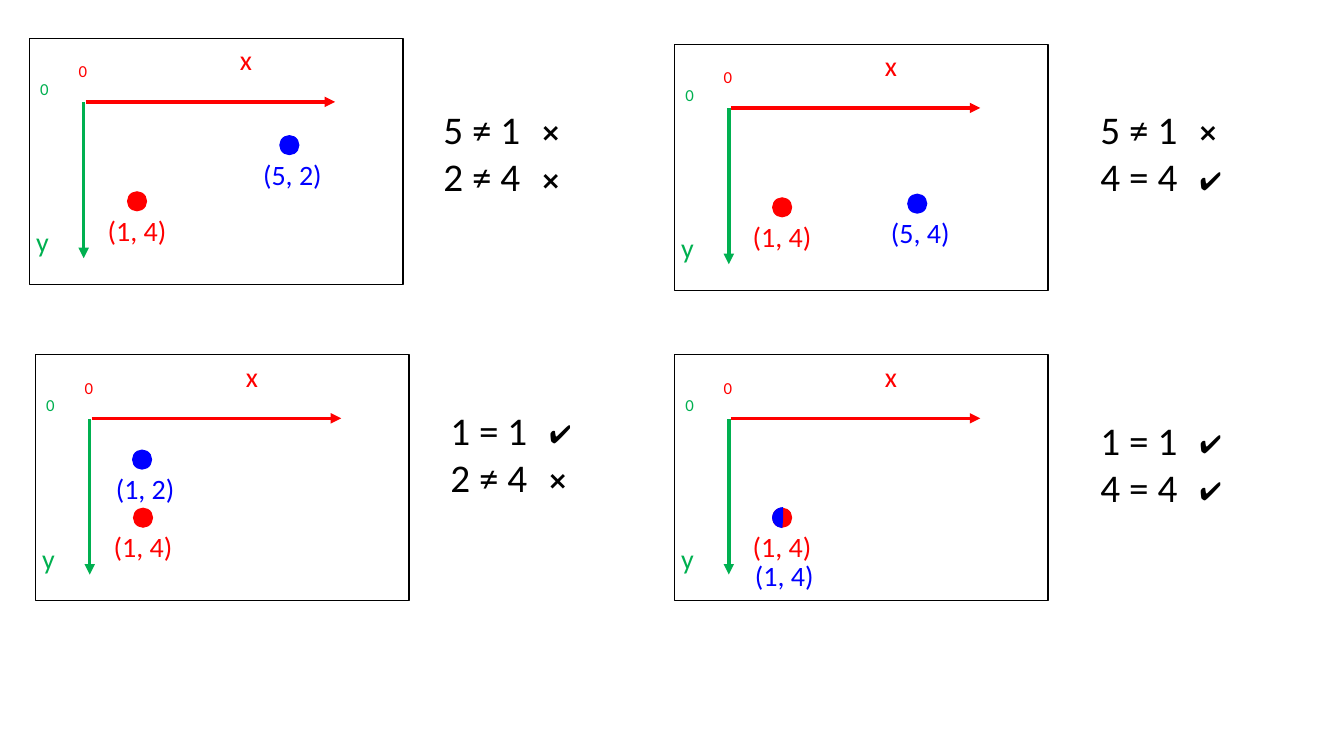
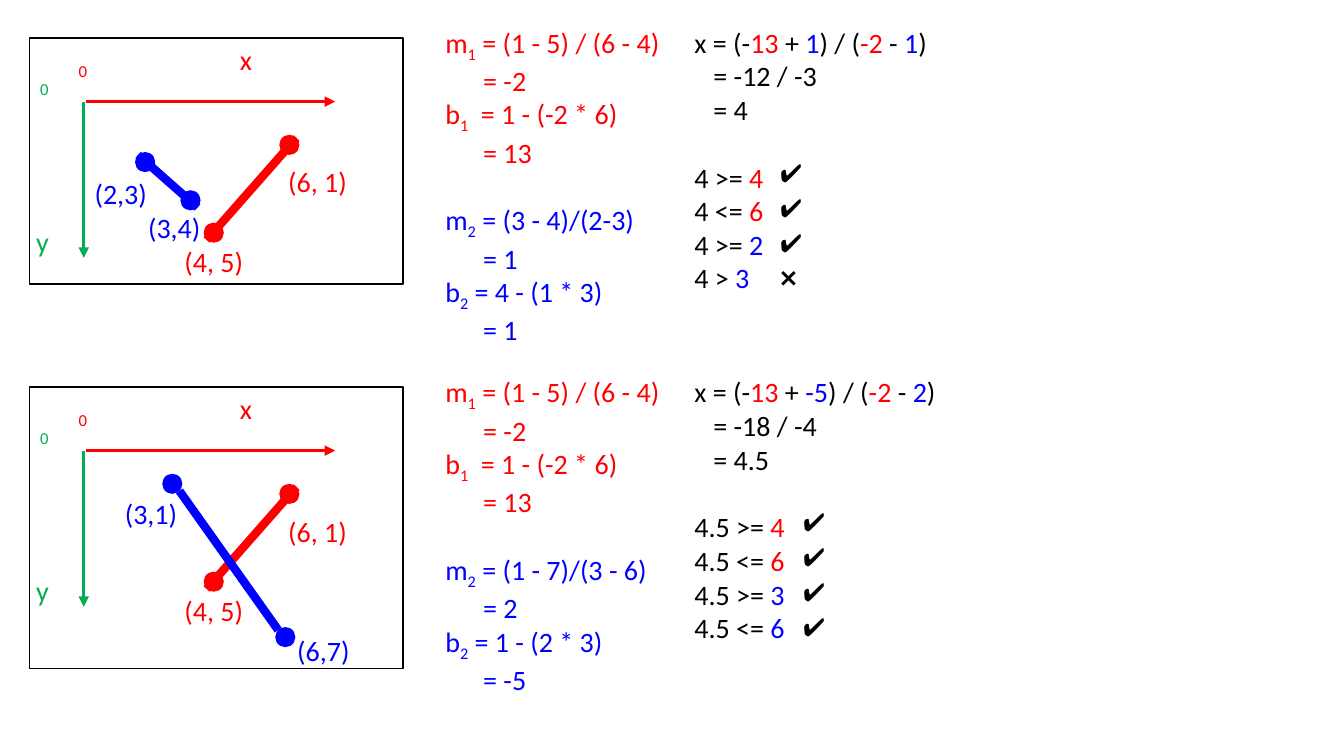
from lxml import etree
from pptx import Presentation
from pptx.dml.color import RGBColor
from pptx.enum.shapes import MSO_CONNECTOR, MSO_SHAPE
from pptx.enum.text import MSO_AUTO_SIZE
from pptx.oxml.ns import qn
from pptx.util import Pt

RED = RGBColor(0xFF, 0, 0)
GREEN = RGBColor(0, 0xB0, 0x50)
BLUE = RGBColor(0, 0, 0xFF)
BLACK = RGBColor(0, 0, 0)
STRAIGHT = MSO_CONNECTOR.STRAIGHT
OVAL, RECT, PIE = MSO_SHAPE.OVAL, MSO_SHAPE.RECTANGLE, MSO_SHAPE.PIE
FIT = MSO_AUTO_SIZE.SHAPE_TO_FIT_TEXT

FONT = "Calibri"
FRAME_W, FRAME_H = 267, 175.7
DOT = 14.4
YES, NO = "✔️", "❌"

# Slide 1: comparing two points; positions inside a panel count from its frame
RED_POINT = ("(1, 4)", RED, (69.8, 109.2), (48.9, 121.4))
POINT_PANELS = [
    {"frame": (20.9, 27.4), "sums": (309.6, 72),
     "blue": ("(5, 2)", BLUE, (178.6, 69.1), (159.9, 81.4)),
     "tests": [("5 ≠ 1", NO), ("2 ≠ 4", NO)]},
    {"frame": (481.7, 31.7), "sums": (779, 72),
     "blue": ("(5, 4)", BLUE, (166.3, 106.6), (147.6, 118.8)),
     "tests": [("5 ≠ 1", NO), ("4 = 4", YES)]},
    {"frame": (25.2, 253.4), "sums": (314.6, 286.6),
     "blue": ("(1, 2)", BLUE, (69.1, 67.7), (50.4, 79.9)),
     "tests": [("1 = 1", YES), ("2 ≠ 4", NO)]},
    {"frame": (481.7, 253.4), "sums": (779, 293.8),
     "blue": ("(1, 4)", BLUE, None, (50.4, 141.8)),
     "tests": [("1 = 1", YES), ("4 = 4", YES)]},
]

# Slide 2: crossing two segments
RED_ENDS = [("(4, 5)", RED, (124.6, 131.8), (103.7, 144)),
            ("(6, 1)", RED, (178.6, 69.1), (177.8, 87.1))]
RED_SEGMENT = ((126.7, 144.2), (190.8, 71.4))
RED_FORMULAS = [("m", "1", " = (1 - 5) / (6 - 4)", "= -2"),
                ("b", "1", "  = 1 - (-2 * 6)", "= 13")]
SEGMENT_PANELS = [
    {"frame": (20.9, 27.2), "height": FRAME_H, "top": 14.4, "marks": 550.1,
     "ends": [("(2,3)", BLUE, (75.6, 81.4), (39.6, 95)),
              ("(3,4)", BLUE, (108, 108.7), (77.8, 119.5))],
     "segment": ((120.2, 121), (77.8, 83.5)),
     "formulas": [("m", "2", " = (3 - 4)/(2-3)", "= 1"),
                  ("b", "2", " = 4 - (1 * 3)", "= 1")],
     "blue_b": "1", "blue_m": "1", "steps": ["= -12 / -3", "= 4"], "width": 182,
     "tests": [("4 >= ", "4", RED, YES), ("4 <= ", "6", RED, YES),
               ("4 >= ", "2", BLUE, YES), ("4 > ", "3", BLUE, NO)]},
    {"frame": (20.9, 276.5), "height": 200.9, "top": 264.2, "marks": 566.6,
     "ends": [("(3,1)", BLUE, (95, 61.9), (61.2, 74.9)),
              ("(6,7)", BLUE, (175.7, 171.4), (184.3, 172.1))],
     "segment": ((177.8, 173.5), (107.3, 74.2)),
     "formulas": [("m", "2", " = (1 - 7)/(3 - 6)", "= 2"),
                  ("b", "2", " = 1 - (2 * 3)", "= -5")],
     "blue_b": "-5", "blue_m": "2", "steps": ["= -18 / -4", "= 4.5"], "width": 188,
     "tests": [("4.5 >= ", "4", RED, YES), ("4.5 <= ", "6", RED, YES),
               ("4.5 >= ", "3", BLUE, YES), ("4.5 <= ", "6", BLUE, YES)]},
]

# Axes, shared by every panel
AXES = [((40.3, 45.4), (218.5, 45.4), RED), ((38.9, 45.8), (38.9, 157), GREEN)]
AXIS_LABELS = [("x", 20, RED, (143.3, -0.5), (23, 31.5)),
               ("y", 20, GREEN, (-2.2, 129.6), (24, 55.4)),
               ("0", 12, RED, (28.1, 12.6), (21, 21.8)),
               ("0", 12, GREEN, (0.7, 25.2), (21, 21.8))]


def shift(origin, offset):
    return origin[0] + offset[0], origin[1] + offset[1]


def add_text(shapes, at, size, paras, sz, wrap=False):
    """Each paragraph is (runs, format); a run is (text, colour[, is_sub])."""
    sp = shapes.add_textbox(*map(Pt, at + size))
    tf = sp.text_frame
    tf.word_wrap, tf.auto_size = wrap, FIT
    for i, (runs, fmt) in enumerate(paras):
        p = tf.paragraphs[0] if i == 0 else tf.add_paragraph()
        if "indent" in fmt:
            p._p.get_or_add_pPr().set("marL", str(Pt(fmt["indent"])))
        if "before" in fmt:
            p.space_before = Pt(fmt["before"])
        for text, color, *sub in runs:
            r = p.add_run()
            r.text = text
            for name, value in {"name": FONT, "size": Pt(sz)}.items():
                setattr(r.font, name, value)
            r.font.color.rgb = color
            if sub:
                r._r.get_or_add_rPr().set("baseline", "-25000")


def add_label(shapes, text, color, at, size, sz, wrap=False):
    add_text(shapes, at, size, [([(text, color)], {})], sz, wrap)


def add_line(shapes, start, end, color, width, arrow=False):
    c = shapes.add_connector(STRAIGHT, *map(Pt, start + end))
    c.line.color.rgb, c.line.width = color, Pt(width)
    if arrow:
        tail = etree.SubElement(c.line._get_or_add_ln(), qn("a:tailEnd"))
        tail.set("type", "triangle")
    etree.SubElement(c._element.spPr, qn("a:effectLst"))


def add_solid(shapes, kind, at, size, color):
    sp = shapes.add_shape(kind, *map(Pt, at + size))
    sp.shadow.inherit = False
    sp.fill.solid()
    sp.fill.fore_color.rgb = color
    sp.line.fill.background()
    return sp


def add_point(shapes, origin, point):
    text, color, dot, label = point
    if dot:
        add_solid(shapes, OVAL, shift(origin, dot), (DOT, DOT), color)
    width = 57 if " " in text else 52.6
    add_label(shapes, text, color, shift(origin, label), (width, 31.5), 20)


def add_panel(slide, origin, points, height=FRAME_H):
    shapes = slide.shapes.add_group_shape().shapes
    for point in points:
        add_point(shapes, origin, point)
    for start, end, color in AXES:
        add_line(shapes, shift(origin, start), shift(origin, end), color, 2.5, True)
    for text, sz, color, at, size in AXIS_LABELS:
        add_label(shapes, text, color, shift(origin, at), size, sz)
    sp = shapes.add_shape(RECT, *map(Pt, origin + (FRAME_W, height)))
    sp.shadow.inherit = False
    sp.fill.background()
    sp.line.color.rgb, sp.line.width = BLACK, Pt(1)


def add_marks(slide, at, step, marks):
    for i, mark in enumerate(marks):
        width = 48.2 if mark == YES else 39.6
        add_label(slide.shapes, mark, BLACK, shift(at, (0, i * step)),
                  (width, 29), 18, True)


def points_slide(slide):
    for panel in POINT_PANELS:
        add_panel(slide, panel["frame"], [RED_POINT, panel["blue"]])
        sums, marks = zip(*panel["tests"])
        add_text(slide.shapes, panel["sums"], (70.6, 75),
                 [([(s, BLACK)], {}) for s in sums], 28)
        add_marks(slide, shift(panel["sums"], (70.8, 8.5)), 33.8, marks)
    # Blue half of the shared point in the last panel
    half = add_solid(slide.shapes, PIE, shift(panel["frame"], (69.8, 108.8)),
                     (15.8, 15.1), BLUE)
    half.adjustments[0], half.adjustments[1] = 56.48, 162


def formula_paras(formulas, color, before=0):
    paras = []
    for name, sub, rest, result in formulas:
        paras += [([(name, color), (sub, color, True), (rest, color)],
                   {"before": before}),
                  ([(result, color)], {"indent": 27.1})]
        before = 0
    return paras


def segments_slide(slide):
    shapes = slide.shapes
    for panel in SEGMENT_PANELS:
        origin, top = panel["frame"], panel["top"]
        # Drawing
        add_line(shapes, *(shift(origin, end) for end in RED_SEGMENT), RED, 6)
        add_panel(slide, origin, RED_ENDS, panel["height"])
        for point in panel["ends"]:
            add_point(shapes, origin, point)
        add_line(shapes, *(shift(origin, end) for end in panel["segment"]), BLUE, 6)
        # Slopes and intercepts
        add_text(shapes, (311, top), (170, 249.8),
                 formula_paras(RED_FORMULAS, RED)
                 + formula_paras(panel["formulas"], BLUE, 24.4), 20)
        # Crossing and range tests
        crossing = [("x = (-", BLACK), ("13", RED), (" + ", BLACK),
                    (panel["blue_b"], BLUE), (") / (", BLACK), ("-2", RED),
                    (" - ", BLACK), (panel["blue_m"], BLUE), (")", BLACK)]
        paras = [(crossing, {})]
        paras += [([(s, BLACK)], {"indent": 13.6}) for s in panel["steps"]]
        paras += [([(left, BLACK), (limit, color)], {"before": 0 if i else 24.4})
                  for i, (left, limit, color, _) in enumerate(panel["tests"])]
        add_text(shapes, (488.9, top), (panel["width"], 200.9), paras, 20)
        add_marks(slide, (panel["marks"], top + 94.1), 25,
                  [test[-1] for test in panel["tests"]])


def main():
    prs = Presentation()
    prs.slide_width, prs.slide_height = Pt(960), Pt(540)
    for build in (points_slide, segments_slide):
        build(prs.slides.add_slide(prs.slide_layouts[6]))
    prs.save("out.pptx")


if __name__ == "__main__":
    main()
